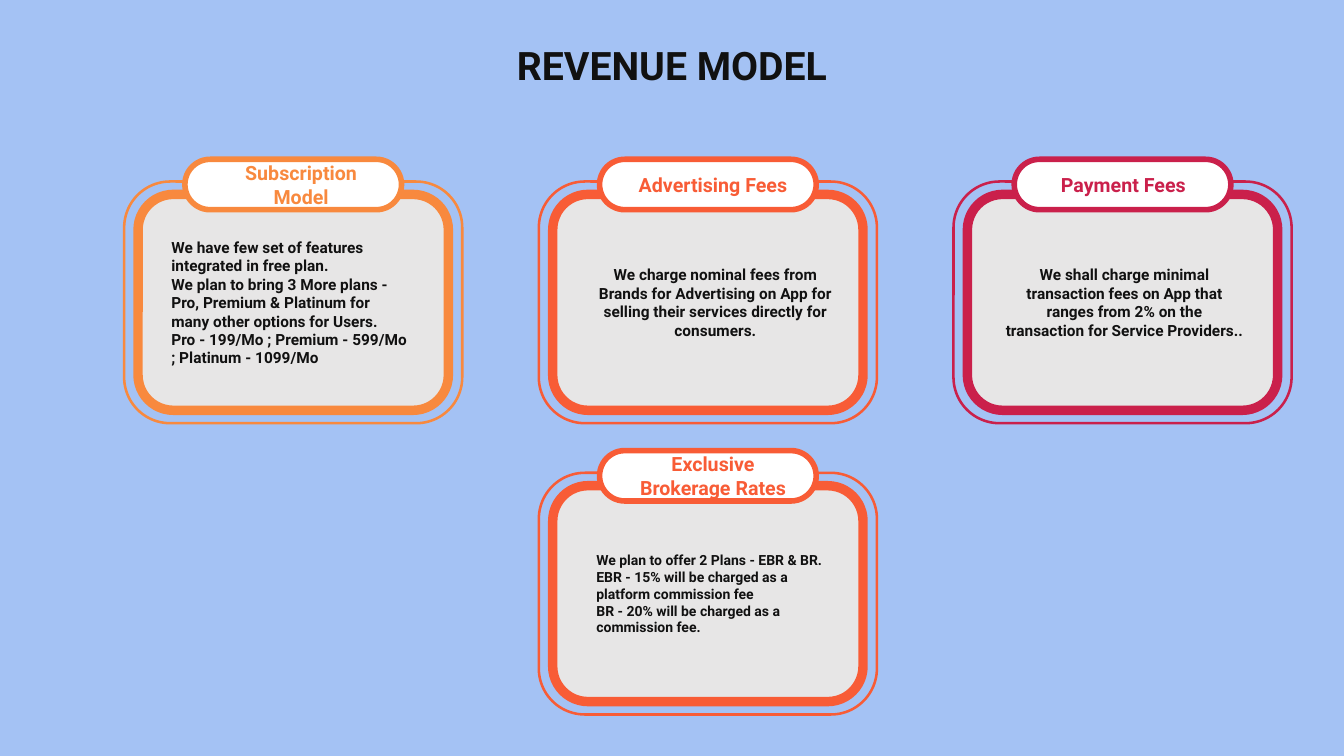
from pptx import Presentation
from pptx.dml.color import RGBColor
from pptx.enum.shapes import MSO_SHAPE
from pptx.enum.text import MSO_ANCHOR, MSO_AUTO_SIZE, PP_ALIGN
from pptx.util import Cm, Pt

INK, PAPER, WHITE, SKY = "111111", "E7E6E6", "FFFFFF", "A4C2F4"
ORANGE, CORAL, CRIMSON = "F8893E", "F85C36", "CA204B"
LEFT, MID = PP_ALIGN.LEFT, PP_ALIGN.CENTER

# Centre of the first card and the steps between cards, in cm
START_X, START_Y = 7.39, 7.62
STEP_X, STEP_Y = 10.45, 7.34
PILL_RISE = 2.97

# column, row, colour, label, label width, label shift, body, body size, align, body shift
CARDS = [
    (0, 0, ORANGE, "Subscription Model", 4.11, 0.2,
     ["We have few set of features integrated in free plan.",
      "We plan to bring 3 More plans - Pro, Premium & Platinum for many other options for Users.",
      "Pro - 199/Mo ; Premium - 599/Mo ; Platinum - 1099/Mo"], 11, LEFT, -0.07),
    (1, 0, CORAL, "Advertising Fees", 4.6, 0.13,
     ["We charge nominal fees from Brands for Advertising on App for "
      "selling their services directly for consumers."], 11, MID, 0.19),
    (2, 0, CRIMSON, "Payment Fees", 3.73, 0.02,
     ["We shall charge minimal transaction fees on App that ranges "
      "from 2% on the transaction for Service Providers.."], 11, MID, 0.05),
    (1, 1, CORAL, "Exclusive Brokerage Rates", 4.6, 0.13,
     ["We plan to offer 2 Plans - EBR & BR.",
      "EBR - 15% will be charged as a platform commission fee",
      "BR - 20% will be charged as a commission fee."], 10, LEFT, 0.19),
]


def paint(color, code):
    color.rgb = RGBColor.from_string(code)


class Deck:
    font = "Roboto"

    def __init__(self, wide, high):
        self.show = Presentation()
        self.show.slide_width, self.show.slide_height = Cm(wide), Cm(high)

    def page(self, back):
        self.slide = self.show.slides.add_slide(self.show.slide_layouts[5])
        fill = self.slide.background.fill
        fill.solid()
        paint(fill.fore_color, back)

    def label(self, shape, lines, size, code, align):
        frame = shape.text_frame
        frame.word_wrap = True
        frame.auto_size = MSO_AUTO_SIZE.NONE
        frame.vertical_anchor = MSO_ANCHOR.MIDDLE
        frame.text = "\n".join(lines)
        for line in frame.paragraphs:
            line.alignment = align
            line.font.name, line.font.size, line.font.bold = self.font, Pt(size), True
            paint(line.font.color, code)

    def title(self, text, x, y, wide, high):
        head = self.slide.shapes.title
        head.left, head.top, head.width, head.height = Cm(x), Cm(y), Cm(wide), Cm(high)
        self.label(head, [text], 28, INK, MID)

    def frame(self, group, x, y, wide, high, curve, line, width, fill=None):
        """Rounded box centred on x, y; curve is its corner radius in cm."""
        box = group.shapes.add_shape(MSO_SHAPE.ROUNDED_RECTANGLE, Cm(x - wide / 2),
                                     Cm(y - high / 2), Cm(wide), Cm(high))
        box.adjustments[0] = curve / min(wide, high)
        box.shadow.inherit = False
        if fill:
            box.fill.solid()
            paint(box.fill.fore_color, fill)
        else:
            box.fill.background()
        paint(box.line.color, line)
        box.line.width = Pt(width)

    def text(self, group, x, y, wide, high, lines, size, code, align):
        """Text box centred on x, y."""
        box = group.shapes.add_textbox(Cm(x - wide / 2), Cm(y - high / 2), Cm(wide), Cm(high))
        self.label(box, lines, size, code, align)

    def card(self, col, row, hue, label, span, nudge, body, size, align, shift):
        x, y = START_X + col * STEP_X, START_Y + row * STEP_Y
        top = y - PILL_RISE
        group = self.slide.shapes.add_group_shape()
        self.frame(group, x, y, 7.82, 5.44, 0.89, hue, 6.75, PAPER)
        self.frame(group, x, y, 8.52, 6.09, 1.16, hue, 1.8)
        self.frame(group, x, top, 5.46, 1.27, 0.64, hue, 4, WHITE)
        self.text(group, x + nudge, top, span, 0.86, [label], 14, hue, MID)
        self.text(group, x + shift, y, 6.5, 1.24, body, size, INK, align)


def main():
    deck = Deck(33.87, 19.05)
    deck.page(SKY)
    deck.title("REVENUE MODEL", 8.74, 0.91, 16.38, 1.45)
    for card in CARDS:
        deck.card(*card)
    deck.show.save("out.pptx")


if __name__ == "__main__":
    main()
